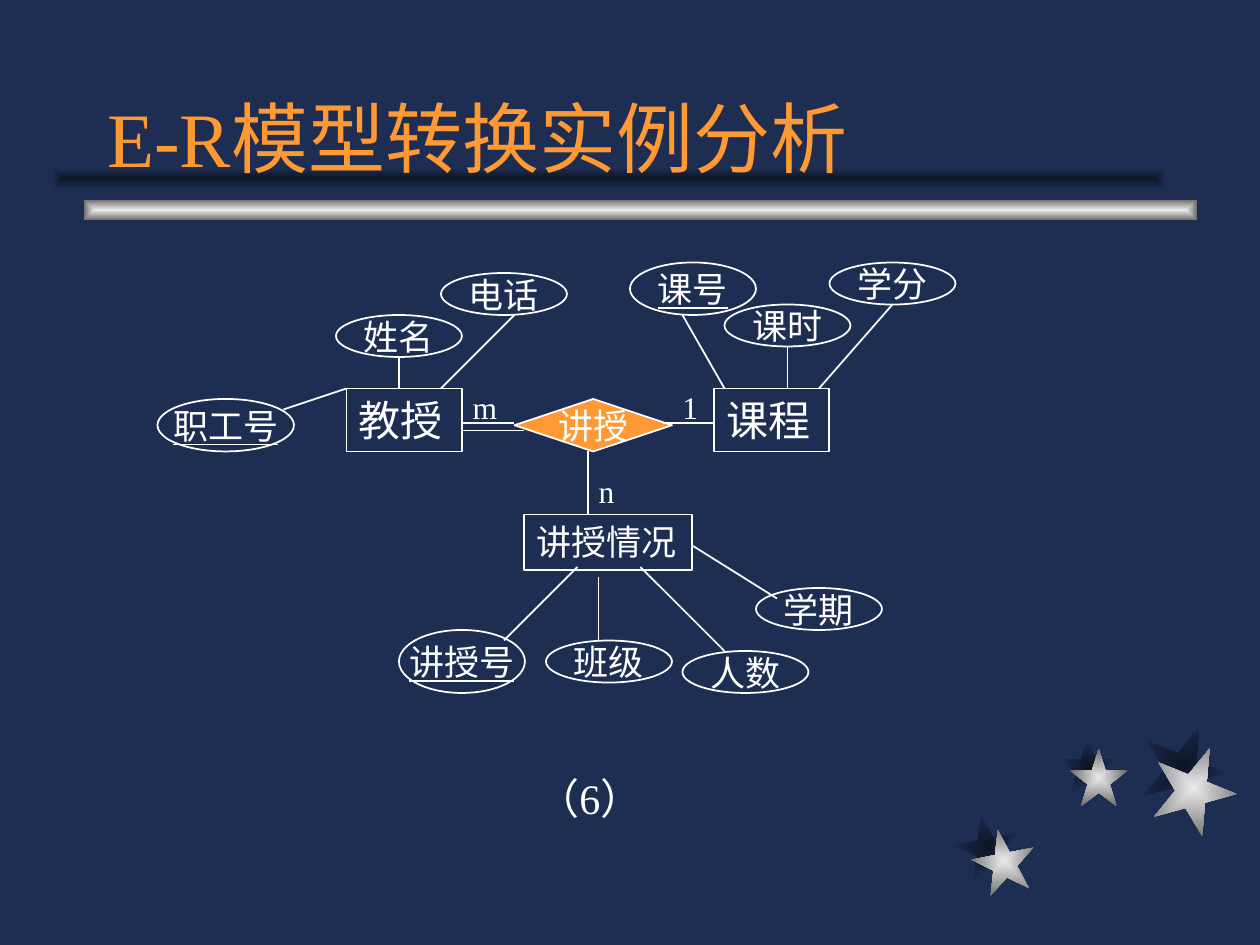
from typing import NamedTuple

from lxml import etree
from pptx import Presentation
from pptx.dml.color import RGBColor
from pptx.enum.shapes import MSO_CONNECTOR, MSO_SHAPE
from pptx.enum.text import MSO_ANCHOR, MSO_AUTO_SIZE, PP_ALIGN
from pptx.oxml.ns import qn
from pptx.util import Emu, Pt

EMU_PER_PX = 7620  # 120 px to the inch
FONT = "Times New Roman"

NAVY = RGBColor(0x1E, 0x2E, 0x53)
DARK_NAVY = RGBColor(0x0E, 0x15, 0x26)
SILVER = RGBColor(0xEA, 0xEA, 0xEA)
GRAY = RGBColor(0x6C, 0x6C, 0x6C)
ORANGE = RGBColor(0xFF, 0x99, 0x33)
WHITE = RGBColor(0xFF, 0xFF, 0xFF)

RECTANGLE = MSO_SHAPE.RECTANGLE
ELLIPSE = MSO_SHAPE.OVAL
DIAMOND = MSO_SHAPE.FLOWCHART_DECISION
STAR = MSO_SHAPE.STAR_5_POINT
STRAIGHT = MSO_CONNECTOR.STRAIGHT
LEFT, CENTER = PP_ALIGN.LEFT, PP_ALIGN.CENTER
TOP, MIDDLE, BOTTOM = MSO_ANCHOR.TOP, MSO_ANCHOR.MIDDLE, MSO_ANCHOR.BOTTOM
NO_AUTO_SIZE = MSO_AUTO_SIZE.NONE


class Box(NamedTuple):
    left: int
    top: int
    width: int
    height: int


class Ornament(NamedTuple):
    kind: MSO_SHAPE
    box: Box
    center_color: RGBColor
    edge_color: RGBColor
    rotation: int = 0


class Entity(NamedTuple):
    text: str
    box: Box
    size: int


class Attribute(NamedTuple):
    text: str
    box: Box
    is_key: bool = False


class Label(NamedTuple):
    text: str
    box: Box
    size: int = 18
    margin_x: int = 0
    margin_y: int = 0


class Link(NamedTuple):
    x1: int
    y1: int
    x2: int
    y2: int


ORNAMENTS = [
    Ornament(STAR, Box(910, 776, 60, 60), DARK_NAVY, NAVY, 349),
    Ornament(STAR, Box(1009, 702, 55, 55), DARK_NAVY, NAVY),
    Ornament(STAR, Box(1087, 690, 80, 80), DARK_NAVY, NAVY, 22),
    Ornament(STAR, Box(926, 790, 60, 60), SILVER, GRAY, 349),
    Ornament(STAR, Box(1019, 713, 55, 55), SILVER, GRAY),
    Ornament(STAR, Box(1097, 710, 80, 80), SILVER, GRAY, 22),
    Ornament(RECTANGLE, Box(80, 190, 1060, 20), SILVER, GRAY),
    Ornament(RECTANGLE, Box(50, 160, 1060, 20), DARK_NAVY, NAVY),
]
ENTITIES = [
    Entity("教授", Box(330, 370, 110, 60), 24),
    Entity("课程", Box(680, 370, 110, 60), 24),
    Entity("讲授情况", Box(499, 490, 160, 53), 20),
]
ATTRIBUTES = [
    Attribute("职工号", Box(150, 380, 130, 50), True),
    Attribute("姓名", Box(320, 300, 120, 40)),
    Attribute("电话", Box(420, 260, 120, 40)),
    Attribute("课号", Box(600, 250, 120, 50), True),
    Attribute("课时", Box(690, 290, 120, 40)),
    Attribute("学分", Box(790, 250, 120, 40)),
    Attribute("讲授号", Box(380, 600, 120, 60), True),
    Attribute("班级", Box(520, 610, 120, 40)),
    Attribute("人数", Box(650, 620, 120, 40)),
    Attribute("学期", Box(720, 560, 120, 40)),
]
LABELS = [
    Label("m", Box(450, 370, 20, 36)),
    Label("1", Box(650, 370, 20, 36)),
    Label("n", Box(570, 450, 20, 36)),
    Label("（6）", Box(500, 730, 200, 60), 24, 12, 6),
]
LINKS = [
    Link(440, 403, 490, 403), Link(439, 410, 499, 410),
    Link(631, 403, 681, 403), Link(560, 430, 560, 490),
    Link(270, 390, 330, 370), Link(380, 340, 380, 370),
    Link(490, 300, 420, 370), Link(650, 300, 690, 370),
    Link(750, 330, 750, 370), Link(850, 290, 780, 370),
    Link(550, 540, 480, 610), Link(570, 550, 570, 610),
    Link(610, 540, 690, 620), Link(660, 520, 740, 570),
]


def px(length: int) -> Emu:
    return Emu(length * EMU_PER_PX)


def set_text(shape, text: str, size: int, color=WHITE, align=LEFT, anchor=TOP,
             wrap=True, underline=False, margin_x=12, margin_y=6) -> None:
    frame = shape.text_frame
    frame.text = text
    frame.word_wrap = wrap
    frame.auto_size = NO_AUTO_SIZE
    frame.vertical_anchor = anchor
    frame.margin_left = frame.margin_right = px(margin_x)
    frame.margin_top = frame.margin_bottom = px(margin_y)
    paragraph = frame.paragraphs[0]
    paragraph.alignment = align
    font = paragraph.runs[0].font
    font.name, font.size, font.color.rgb = FONT, Pt(size), color
    if underline:
        font.underline = True


def add_outlined_shape(slide, kind: MSO_SHAPE, box: Box, fill=None):
    shape = slide.shapes.add_shape(kind, *map(px, box))
    shape.shadow.inherit = False
    if fill is None:
        shape.fill.background()
    else:
        shape.fill.solid()
        shape.fill.fore_color.rgb = fill
    shape.line.color.rgb = WHITE
    shape.line.width = Pt(1)
    return shape


def add_ornament(slide, ornament: Ornament) -> None:
    """Draw a shape shaded from its center to its edges."""
    shape = slide.shapes.add_shape(ornament.kind, *map(px, ornament.box))
    shape.shadow.inherit = False
    shape.rotation = ornament.rotation
    shape.line.fill.background()
    shape.fill.gradient()
    colors = (ornament.center_color, ornament.edge_color)
    for stop, color in zip(shape.fill.gradient_stops, colors):
        stop.color.rgb = color
    gradient = shape._element.spPr.find(qn("a:gradFill"))
    gradient.remove(gradient.find(qn("a:lin")))
    shading = etree.SubElement(gradient, qn("a:path"), path="rect")
    etree.SubElement(shading, qn("a:fillToRect"),
                     dict.fromkeys("ltrb", "50000"))


def add_link(slide, link: Link) -> None:
    connector = slide.shapes.add_connector(STRAIGHT, *map(px, link))
    connector.line.color.rgb = WHITE
    connector.line.width = Pt(1)
    etree.SubElement(connector._element.spPr, qn("a:effectLst"))


def add_title(slide, text: str, box: Box) -> None:
    """Fill the title and bring it in front of the ornaments."""
    title = slide.shapes.title
    title.left, title.top, title.width, title.height = map(px, box)
    set_text(title, text, 44, ORANGE, anchor=BOTTOM)
    title._element.getparent().append(title._element)


def main() -> None:
    presentation = Presentation()
    presentation.slide_width, presentation.slide_height = px(1200), px(900)
    slide = presentation.slides.add_slide(presentation.slide_layouts[5])
    slide.background.fill.solid()
    slide.background.fill.fore_color.rgb = NAVY

    for ornament in ORNAMENTS:
        add_ornament(slide, ornament)
    add_title(slide, "E-R模型转换实例分析", Box(90, 30, 1020, 150))
    for entity in ENTITIES:
        shape = add_outlined_shape(slide, RECTANGLE, entity.box)
        set_text(shape, entity.text, entity.size)
    relationship = add_outlined_shape(slide, DIAMOND, Box(490, 380, 150, 50), ORANGE)
    set_text(relationship, "讲授", 20, align=CENTER, anchor=MIDDLE, wrap=False)
    for attribute in ATTRIBUTES:
        shape = add_outlined_shape(slide, ELLIPSE, attribute.box)
        set_text(shape, attribute.text, 20, align=CENTER, anchor=MIDDLE,
                 wrap=False, underline=attribute.is_key)
    for link in LINKS:
        add_link(slide, link)
    for label in LABELS:
        text_box = slide.shapes.add_textbox(*map(px, label.box))
        set_text(text_box, label.text, label.size,
                 margin_x=label.margin_x, margin_y=label.margin_y)
    presentation.save("out.pptx")


if __name__ == "__main__":
    main()
